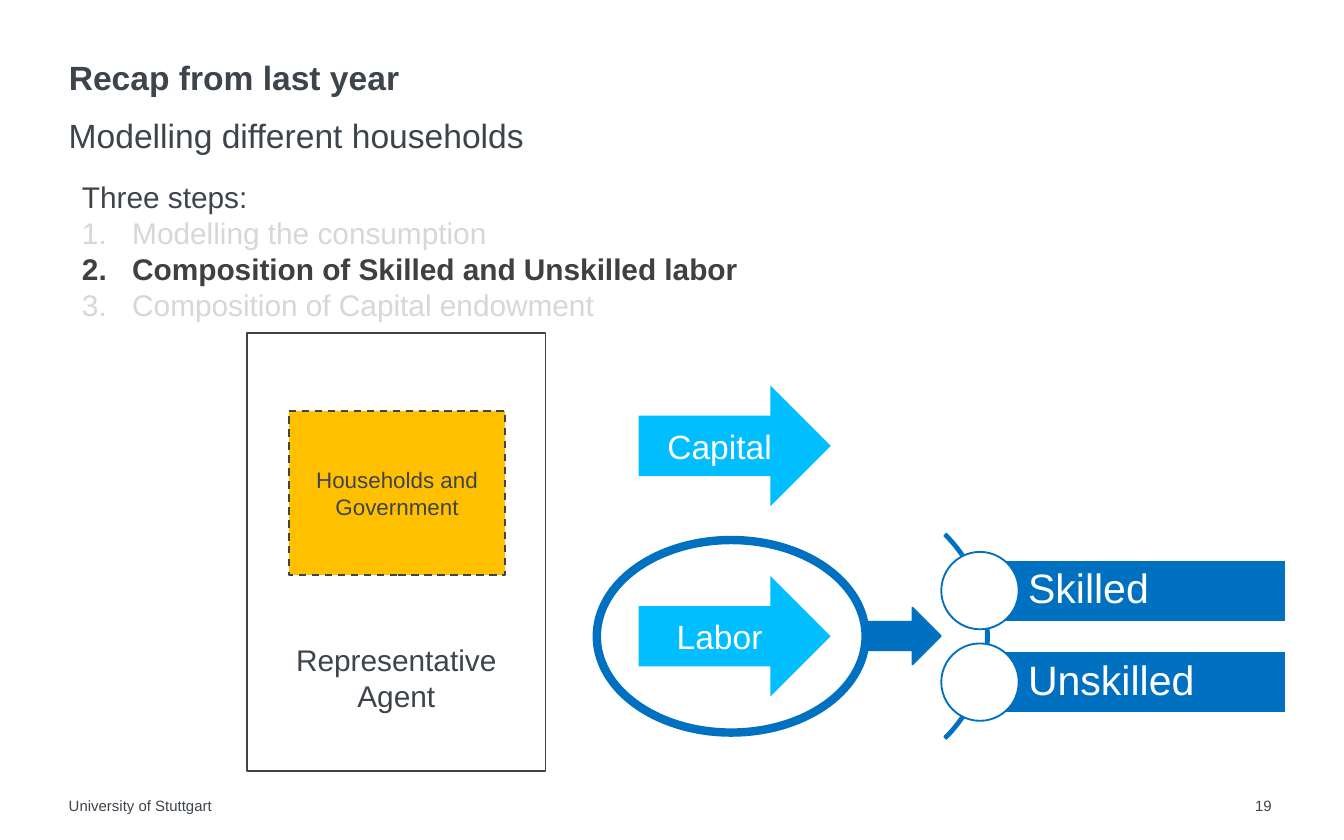
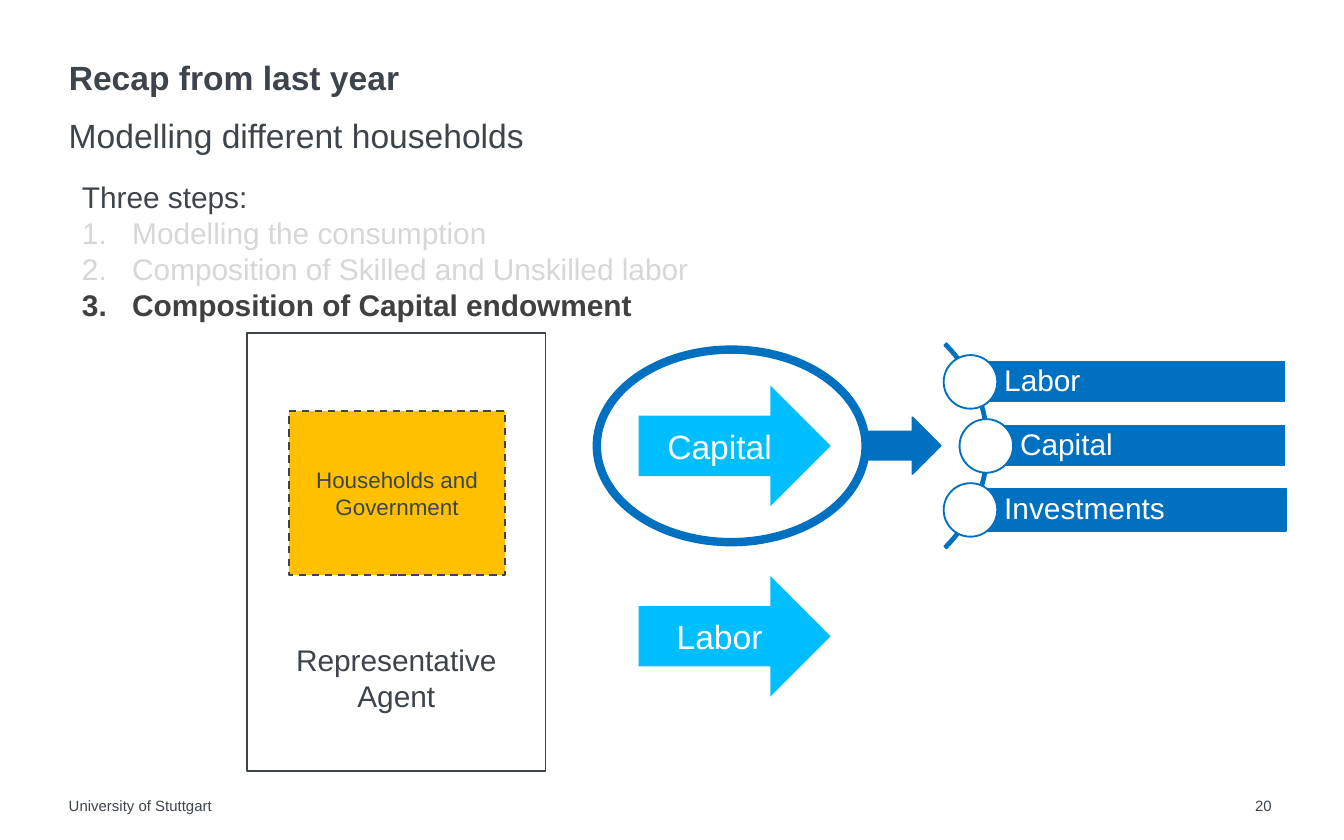
"""Build two recap slides on modelling different households."""
from lxml.etree import SubElement
from pptx import Presentation
from pptx.dml.color import RGBColor
from pptx.enum.dml import MSO_LINE as Dash
from pptx.enum.shapes import MSO_SHAPE as Kind
from pptx.enum.text import MSO_ANCHOR as Anchor, MSO_AUTO_SIZE as Fit, PP_ALIGN as Align
from pptx.oxml.ns import qn
from pptx.util import Cm, Pt

INK, WHITE, BLUE, SKY, GOLD = "3E444C", "FFFFFF", "0070C0", "00BEFF", "FFC000"
PALE, DARK = "D9D6D6", "404040"
hue = RGBColor.from_string


def draw(slide, kind, box, fill=None, line=None, width=1):
    """Add a preset shape; box is left, top, width, height in cm."""
    shape = slide.shapes.add_shape(kind, *map(Cm, box))
    shape.shadow.inherit = False
    if fill:
        shape.fill.solid()
        shape.fill.fore_color.rgb = hue(fill)
    else:
        shape.fill.background()
    if line:
        shape.line.color.rgb = hue(line)
        shape.line.width = Pt(width)
    else:
        shape.line.fill.background()
    return shape


def write(shape, text, size, color=INK, bold=False, align=Align.LEFT,
          anchor=Anchor.TOP, inset=(0, 0, 0, 0)):
    """Fill a shape with text; inset is left, top, right, bottom in cm."""
    frame = shape.text_frame
    frame.text = text
    frame.word_wrap, frame.auto_size = True, Fit.NONE
    frame.vertical_anchor = anchor
    (frame.margin_left, frame.margin_top,
     frame.margin_right, frame.margin_bottom) = map(Cm, inset)
    for para in frame.paragraphs:
        para.alignment = align
        for run in para.runs:
            run.font.name, run.font.size, run.font.bold = "Arial", Pt(size), bold
            run.font.color.rgb = hue(color)
    return frame


STEPS = ["Three steps:", "Modelling the consumption",
         "Composition of Skilled and Unskilled labor", "Composition of Capital endowment"]
ROWS = {"Labor": 12.03, "Capital": 8.43}
PAD = (0.25, 0.13, 0.25, 0.13)
RIGHT = 24.3

PAGES = [
    {"no": "19", "step": 2, "row": "Labor", "high": 1.17, "pitch": 1.73, "size": 22, "pad": 0.91,
     "bars": [("Skilled", 18.52, WHITE), ("Unskilled", 18.52, WHITE)]},
    {"no": "20", "step": 3, "row": "Capital", "high": 0.81, "pitch": 1.21, "size": 16, "pad": 0.64,
     "bars": [("Labor", 18.34, WHITE), ("Capital", 18.64, WHITE), ("Investments", 18.34, BLUE)]},
]

deck = Presentation()
deck.slide_width, deck.slide_height = Cm(25.4), Cm(15.88)

for page in PAGES:
    slide = deck.slides.add_slide(deck.slide_layouts[5])
    title = slide.shapes.title
    title.left, title.top, title.width, title.height = map(Cm, (1.3, 1.09, 22.81, 0.76))
    frame = write(title, "Recap from last year", 18, bold=True, anchor=Anchor.BOTTOM)
    frame.paragraphs[0].line_spacing = 0.9

    for text, box, size, inset in [
        ("University of Stuttgart", (1.3, 15.06, 16.84, 0.36), 8, (0, 0, 0, 0)),
        (page["no"], (23.72, 15.06, 0.61, 0.36), 8, (0, 0, 0, 0)),
        ("Modelling different households", (1.3, 1.98, 22.81, 0.76), 18, (0, 0.2, 0, 0)),
        ("\n".join(STEPS), (1.3, 3.25, 21.34, 3.23), 16, PAD),
    ]:
        frame = write(slide.shapes.add_textbox(*map(Cm, box)), text, size, inset=inset)

    for num, para in enumerate(frame.paragraphs[1:], 1):
        props = para._p.get_or_add_pPr()
        props.set("marL", str(Cm(0.95)))
        props.set("indent", str(-Cm(0.95)))
        SubElement(props, qn("a:buFont"), typeface="+mj-lt")
        SubElement(props, qn("a:buAutoNum"), type="arabicPeriod")
        font = para.runs[0].font
        font.bold = num == page["step"]
        font.color.rgb = hue(DARK if font.bold else PALE)

    agent = draw(slide, Kind.RECTANGLE, (4.67, 6.3, 5.64, 8.28), WHITE, INK)
    write(agent, "Representative Agent", 16, align=Align.CENTER, anchor=Anchor.BOTTOM,
          inset=(0.25, 0.13, 0.25, 1.1))
    house = draw(slide, Kind.RECTANGLE, (5.46, 7.77, 4.09, 3.1), GOLD, INK)
    house.line.dash_style = Dash.DASH
    write(house, "Households and Government", 12, align=Align.CENTER, anchor=Anchor.MIDDLE, inset=PAD)

    for name, mid in ROWS.items():
        arrow = draw(slide, Kind.RIGHT_ARROW, (12.07, mid - 1.14, 3.63, 2.28), SKY)
        write(arrow, name, 18, WHITE, align=Align.CENTER, anchor=Anchor.MIDDLE, inset=PAD)

    mid = ROWS[page["row"]]
    draw(slide, Kind.OVAL, (11.28, mid - 1.82, 5.08, 3.64), line=BLUE, width=4.5)
    arc = draw(slide, Kind.BLOCK_ARC, (13.21, mid - 2.74, 5.48, 5.48), BLUE, BLUE)
    for i, value in enumerate((189, 27, 0.01)):
        arc.adjustments[i] = value

    high, pad = page["high"], page["pad"]
    first = mid - page["pitch"] * (len(page["bars"]) - 1) / 2
    for i, (name, left, edge) in enumerate(page["bars"]):
        center, dot = first + i * page["pitch"], high * 1.25
        bar = draw(slide, Kind.RECTANGLE, (left, center - high / 2, RIGHT - left, high), BLUE, edge)
        frame = write(bar, name, page["size"], WHITE, anchor=Anchor.MIDDLE,
                      inset=(pad, pad / 6, pad / 6, pad / 6))
        frame.paragraphs[0].line_spacing = 0.9
        draw(slide, Kind.OVAL, (left - dot / 2, center - dot / 2, dot, dot), WHITE, BLUE)

    draw(slide, Kind.RIGHT_ARROW, (16.33, mid - 0.54, 1.45, 1.07), BLUE, BLUE)

deck.save("out.pptx")
